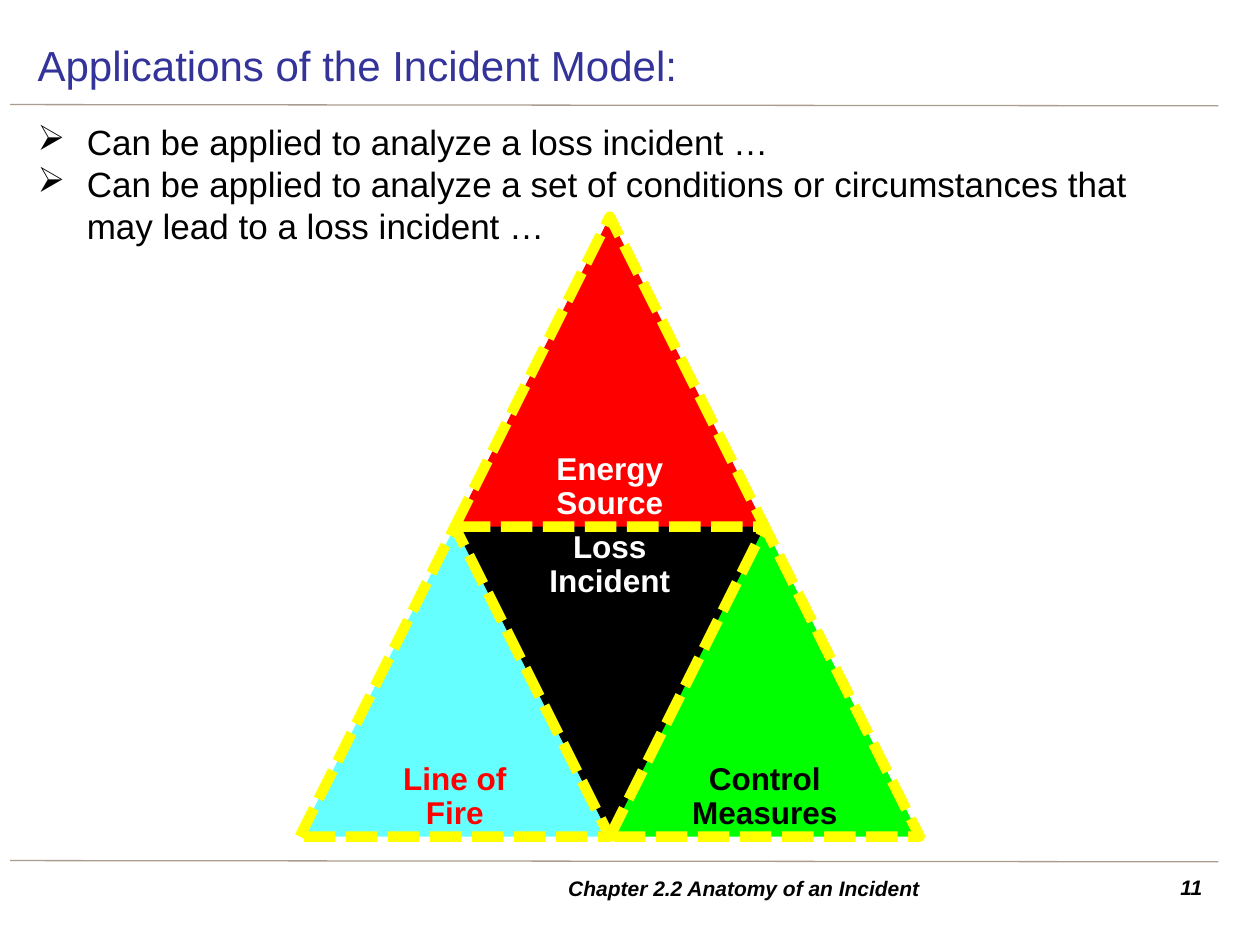
"""Build the incident model slide with its four-part triangle."""
from lxml.etree import SubElement
from pptx import Presentation
from pptx.dml.color import RGBColor
from pptx.enum.dml import MSO_LINE
from pptx.enum.shapes import MSO_CONNECTOR
from pptx.enum.text import MSO_ANCHOR, PP_ALIGN
from pptx.oxml.ns import qn
from pptx.util import Inches, Pt

BLACK = RGBColor(0x00, 0x00, 0x00)
WHITE = RGBColor(0xFF, 0xFF, 0xFF)
RED = RGBColor(0xFF, 0x00, 0x00)
YELLOW = RGBColor(0xFF, 0xFF, 0x00)
GREEN = RGBColor(0x00, 0xFF, 0x00)
CYAN = RGBColor(0x66, 0xFF, 0xFF)
NAVY = RGBColor(0x33, 0x33, 0x99)
TAUPE = RGBColor(0xAA, 0x9C, 0x8F)

TITLE = "Applications of the Incident Model:"
POINTS = [
    "Can be applied to analyze a loss incident …",
    "Can be applied to analyze a set of conditions or circumstances that may lead to a loss incident …",
]
FOOTER = "Chapter 2.2 Anatomy of an Incident"
PAGE = "11"
RULE_TOPS = [0.83, 6.83]

# label, column in half sides, row, points up, fill, text colour
TRIANGLES = [
    ("Loss Incident", 1, 1, False, BLACK, WHITE),
    ("Energy Source", 1, 0, True, RED, WHITE),
    ("Line of Fire", 0, 1, True, CYAN, RED),
    ("Control Measures", 2, 1, True, GREEN, BLACK),
]
LEFT, TOP, SIDE = 2.38, 1.72, 2.46
BULLET_INDENT = 0.39


def write(frame, paragraphs, size, color=BLACK, bold=False, italic=False,
          align=PP_ALIGN.LEFT, anchor=MSO_ANCHOR.TOP, spacing=None, bullet=None):
    frame.word_wrap = True
    frame.vertical_anchor = anchor
    for index, text in enumerate(paragraphs):
        paragraph = frame.add_paragraph() if index else frame.paragraphs[0]
        paragraph.text = text
        paragraph.alignment = align
        if spacing:
            paragraph.line_spacing = spacing
        if bullet:
            properties = paragraph._p.get_or_add_pPr()
            properties.set("marL", str(Inches(BULLET_INDENT)))
            properties.set("indent", str(-Inches(BULLET_INDENT)))
            SubElement(properties, qn("a:buChar"), char=bullet)
        font = paragraph.font
        font.name, font.size = "Arial", Pt(size)
        font.bold, font.italic = bold, italic
        font.color.rgb = color


def add_text(slide, box, paragraphs, **style):
    textbox = slide.shapes.add_textbox(*map(Inches, box))
    write(textbox.text_frame, paragraphs, **style)


def add_rule(slide, top):
    rule = slide.shapes.add_connector(
        MSO_CONNECTOR.STRAIGHT, Inches(0.08), Inches(top), Inches(9.67), Inches(top + 0.01))
    rule.line.color.rgb = TAUPE
    rule.line.width = Pt(0.75)
    SubElement(rule._element.spPr, qn("a:effectLst"))


def add_triangle(slide, label, column, row, points_up, fill, text_color):
    left, top = LEFT + column * SIDE / 2, TOP + row * SIDE
    base, tip = (top + SIDE, top) if points_up else (top, top + SIDE)
    corners = [(left + SIDE / 2, tip), (left + SIDE, base)]
    builder = slide.shapes.build_freeform(Inches(left), Inches(base))
    builder.add_line_segments([(Inches(x), Inches(y)) for x, y in corners], close=True)
    triangle = builder.convert_to_shape()
    triangle.shadow.inherit = False
    triangle.fill.solid()
    triangle.fill.fore_color.rgb = fill
    triangle.line.color.rgb = YELLOW if points_up else BLACK
    triangle.line.width = Pt(6 if points_up else 2)
    if points_up:
        triangle.line.dash_style = MSO_LINE.SQUARE_DOT
    frame = triangle.text_frame
    frame.margin_left = frame.margin_right = Inches(0.61)
    frame.margin_top = Inches(1.27 if points_up else 0.04)
    frame.margin_bottom = Inches(0.04 if points_up else 1.27)
    write(frame, [label], size=18, color=text_color, bold=True, align=PP_ALIGN.CENTER,
          anchor=MSO_ANCHOR.BOTTOM if points_up else MSO_ANCHOR.TOP, spacing=0.9)


def main():
    deck = Presentation()
    deck.slide_width, deck.slide_height = Inches(10), Inches(7.5)
    slide = deck.slides.add_slide(deck.slide_layouts[6])
    for top in RULE_TOPS:
        add_rule(slide, top)
    add_text(slide, (0.2, 0.91, 9.45, 5.83), POINTS, size=20, bullet="➢")
    add_text(slide, (0.2, 0.24, 9.45, 0.55), [TITLE], size=24, color=NAVY,
             anchor=MSO_ANCHOR.MIDDLE)
    add_text(slide, (9.06, 6.89, 0.58, 0.31), [PAGE], size=12, bold=True, italic=True,
             align=PP_ALIGN.RIGHT)
    add_text(slide, (2.95, 6.89, 5.91, 0.31), [FOOTER], size=12, bold=True, italic=True,
             align=PP_ALIGN.CENTER, anchor=MSO_ANCHOR.MIDDLE)
    for triangle in TRIANGLES:
        add_triangle(slide, *triangle)
    deck.save("out.pptx")


if __name__ == "__main__":
    main()
